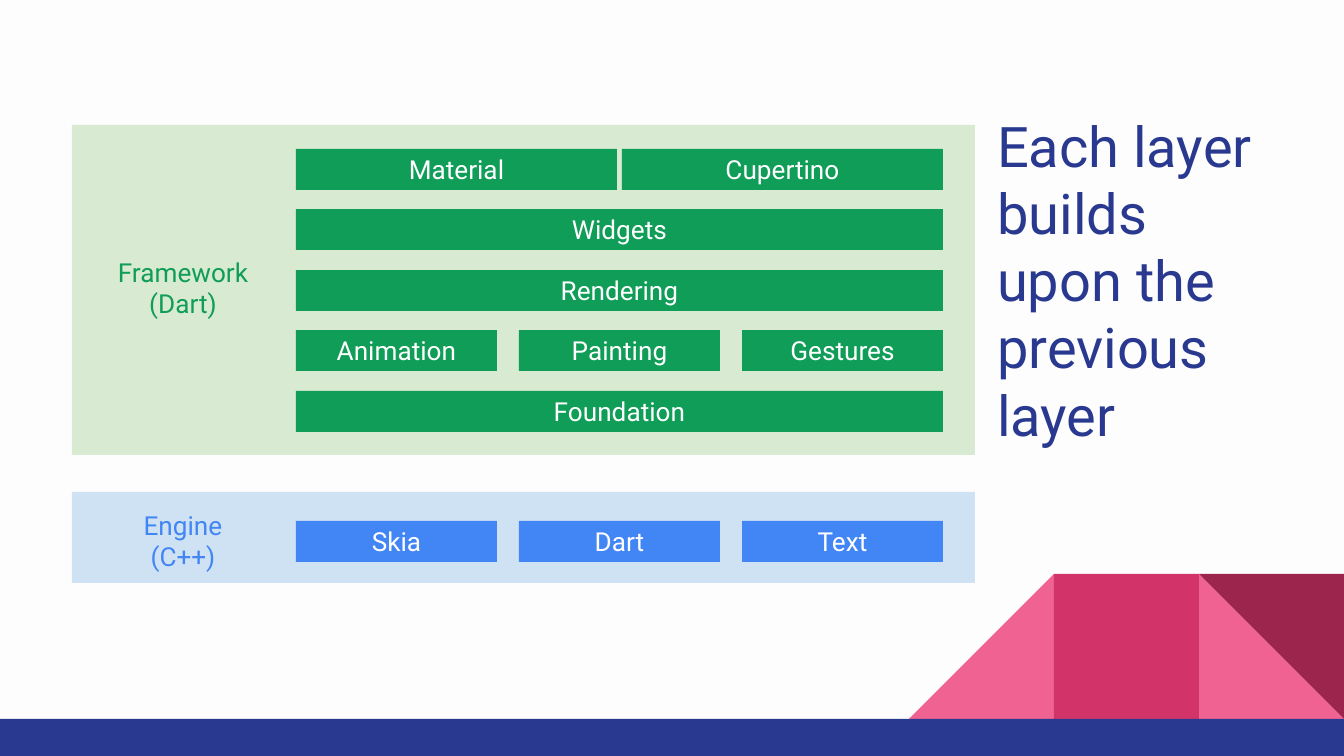
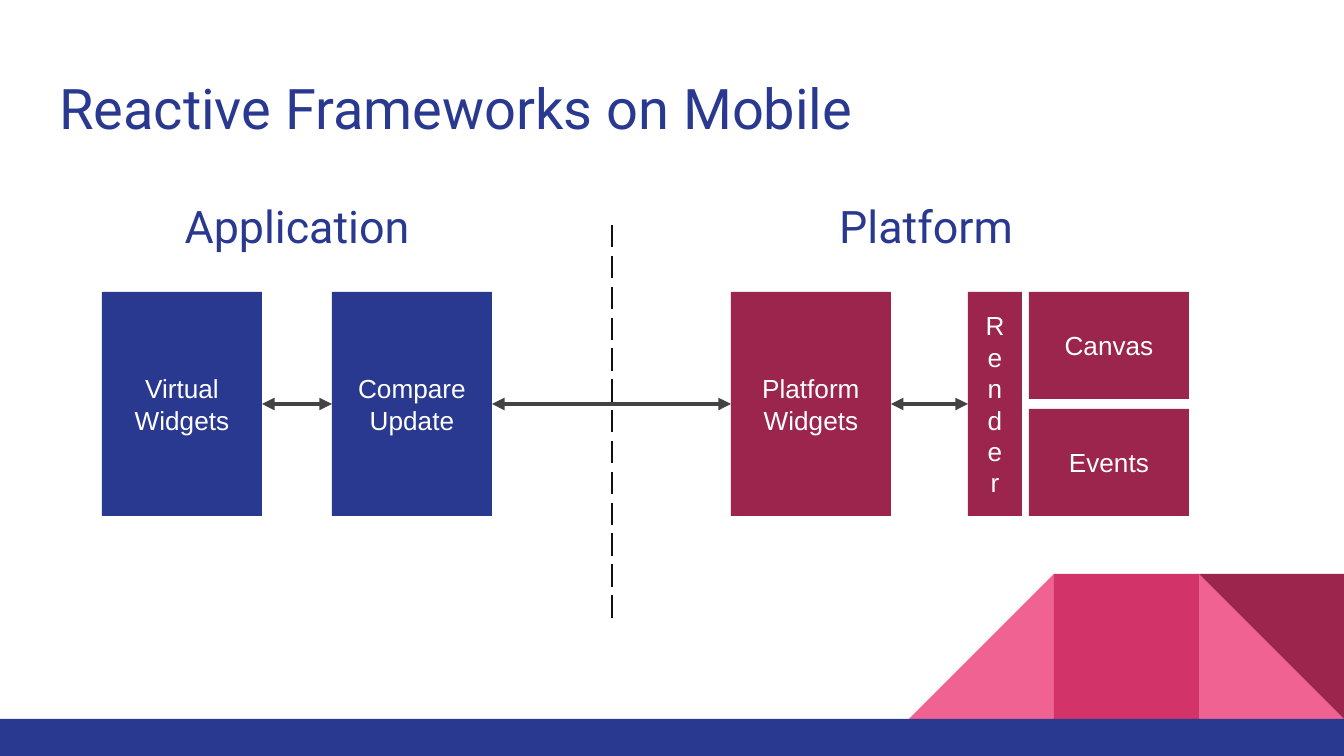
from dataclasses import dataclass

from lxml import etree
from pptx import Presentation
from pptx.dml.color import RGBColor
from pptx.enum.dml import MSO_LINE
from pptx.enum.shapes import MSO_CONNECTOR, MSO_SHAPE
from pptx.enum.text import MSO_ANCHOR, PP_ALIGN
from pptx.oxml.ns import qn
from pptx.util import Emu, Inches, Pt

RECTANGLE = MSO_SHAPE.RECTANGLE
RIGHT_TRIANGLE = MSO_SHAPE.RIGHT_TRIANGLE
STRAIGHT = MSO_CONNECTOR.STRAIGHT
LONG_DASH = MSO_LINE.LONG_DASH
LEFT, CENTER = PP_ALIGN.LEFT, PP_ALIGN.CENTER
TOP, MIDDLE = MSO_ANCHOR.TOP, MSO_ANCHOR.MIDDLE
LEFT_SITE, RIGHT_SITE = 1, 3

SLIDE_WIDTH, SLIDE_HEIGHT = 1344, 756
EMU_PER_PX = Inches(10) / SLIDE_WIDTH


@dataclass(frozen=True)
class Theme:
    heading_font: str = "Roboto"
    diagram_font: str = "Arial"
    title_size: int = 30
    heading_size: int = 24
    label_size: int = 14
    white: str = "FFFFFF"
    off_white: str = "FDFDFD"
    indigo: str = "2A3990"
    light_pink: str = "F06292"
    pink: str = "D23369"
    maroon: str = "9C254D"
    green: str = "0F9D58"
    pale_green: str = "D9EAD3"
    blue: str = "4285F4"
    pale_blue: str = "CFE2F3"
    divider: str = "111111"
    arrow: str = "434343"


THEME = Theme()


def px(length):
    return Emu(round(length * EMU_PER_PX))


def rgb(color):
    return RGBColor.from_string(color)


def write_text(shape, lines, size, color, font=THEME.heading_font,
               align=CENTER, anchor=MIDDLE):
    """Fill a shape with one paragraph per line."""
    frame = shape.text_frame
    frame.word_wrap = True
    frame.vertical_anchor = anchor
    frame.margin_left = frame.margin_right = Inches(0.1)
    frame.margin_top = frame.margin_bottom = Inches(0.1)
    for index, line in enumerate(lines):
        paragraph = frame.add_paragraph() if index else frame.paragraphs[0]
        paragraph.alignment = align
        run = paragraph.add_run()
        run.text = line
        run.font.name = font
        run.font.size = Pt(size)
        run.font.color.rgb = rgb(color)


def add_text(slide, box, lines, size, color, **style):
    text_box = slide.shapes.add_textbox(*map(px, box))
    write_text(text_box, lines, size, color, **style)


def add_block(slide, box, fill, lines=(), font=THEME.heading_font, kind=RECTANGLE):
    """Add a borderless filled shape, with a centred white label if lines are given."""
    shape = slide.shapes.add_shape(kind, *map(px, box))
    shape.shadow.inherit = False
    shape.fill.solid()
    shape.fill.fore_color.rgb = rgb(fill)
    shape.line.fill.background()
    if lines:
        write_text(shape, lines, THEME.label_size, THEME.white, font)
    return shape


def add_line(slide, start, end, color, width):
    line = slide.shapes.add_connector(STRAIGHT, *map(px, start + end))
    line.line.color.rgb = rgb(color)
    line.line.width = Pt(width)
    etree.SubElement(line._element.spPr, qn("a:effectLst"))
    return line


def add_double_arrow(slide, source, target):
    """Join the facing sides of two blocks, with a head at each end."""
    arrow = add_line(slide, (0, 0), (0, 0), THEME.arrow, 2.25)
    arrow.begin_connect(source, RIGHT_SITE)
    arrow.end_connect(target, LEFT_SITE)
    outline = arrow.line._get_or_add_ln()
    for end in ("a:headEnd", "a:tailEnd"):
        etree.SubElement(outline, qn(end), type="triangle")


def add_title(slide, box, title):
    add_text(slide, box, [title], THEME.title_size, THEME.indigo,
             align=LEFT, anchor=TOP)


def add_base_slide(presentation, background):
    """Add a blank slide with the folded-paper corner and the footer band."""
    slide = presentation.slides.add_slide(presentation.slide_layouts[6])
    slide.background.fill.solid()
    slide.background.fill.fore_color.rgb = rgb(background)

    side, footer_top = 145, 719
    left_fold, middle_fold, right_fold = (
        (SLIDE_WIDTH - side * count, footer_top - side, side, side)
        for count in (3, 2, 1))
    add_block(slide, right_fold, THEME.light_pink, kind=RIGHT_TRIANGLE)
    mirrored = add_block(slide, left_fold, THEME.light_pink, kind=RIGHT_TRIANGLE)
    mirrored._element.spPr.xfrm.set("flipH", "1")
    add_block(slide, middle_fold, THEME.pink)
    corner = add_block(slide, right_fold, THEME.maroon, kind=RIGHT_TRIANGLE)
    corner.rotation = 180
    add_block(slide, (0, footer_top, SLIDE_WIDTH, SLIDE_HEIGHT - footer_top),
              THEME.indigo)
    return slide


def add_layer_row(slide, top, names, gap, fill):
    """Split one row of the stack evenly between the names."""
    left, width, height = 296, 647, 41
    cell_width = (width - gap * (len(names) - 1)) // len(names)
    for column, name in enumerate(names):
        box = (left + column * (cell_width + gap), top, cell_width, height)
        add_block(slide, box, fill, [name])


def add_panel(slide, top, height, fill, label, label_top, label_color):
    add_block(slide, (72, top, 903, height), fill)
    add_text(slide, (99, label_top, 168, 91), label, THEME.label_size,
             label_color, anchor=TOP)


def build_layers_slide(presentation):
    slide = add_base_slide(presentation, THEME.off_white)
    add_title(slide, (984, 98, 314, 89), "Each layer builds upon the previous layer")

    add_panel(slide, 492, 91, THEME.pale_blue, ["Engine", "(C++)"], 496, THEME.blue)
    add_layer_row(slide, 521, ["Skia", "Dart", "Text"], 22, THEME.blue)

    add_panel(slide, 125, 330, THEME.pale_green, ["Framework", "(Dart)"], 243,
              THEME.green)
    framework_rows = [
        (["Material", "Cupertino"], 5),
        (["Widgets"], 0),
        (["Rendering"], 0),
        (["Animation", "Painting", "Gestures"], 22),
        (["Foundation"], 0),
    ]
    for row, (names, gap) in enumerate(framework_rows):
        add_layer_row(slide, 149 + row * 121 // 2, names, gap, THEME.green)


def build_reactive_slide(presentation):
    slide = add_base_slide(presentation, THEME.white)
    add_title(slide, (46, 60, 1252, 89), "Reactive Frameworks on Mobile")
    for left, heading in ((102, "Application"), (731, "Platform")):
        add_text(slide, (left, 179, 390, 94), [heading], THEME.heading_size,
                 THEME.indigo)
    add_line(slide, (612, 225), (612, 624), THEME.divider, 1.5).line.dash_style = LONG_DASH

    top, height, width = 292, 224, 160
    stages = [
        (102, width, THEME.indigo, ["Virtual", "Widgets"]),
        (332, width, THEME.indigo, ["Compare", "Update"]),
        (731, width, THEME.maroon, ["Platform", "Widgets"]),
        (968, 54, THEME.maroon, ["Rende", "r"]),
    ]
    blocks = [add_block(slide, (left, top, stage_width, height), fill, lines,
                        THEME.diagram_font)
              for left, stage_width, fill, lines in stages]

    service_height = 107
    for service_top, name in ((top, "Canvas"),
                              (top + height - service_height, "Events")):
        add_block(slide, (1029, service_top, width, service_height), THEME.maroon,
                  [name], THEME.diagram_font)

    for source, target in zip(blocks, blocks[1:]):
        add_double_arrow(slide, source, target)


def main():
    presentation = Presentation()
    presentation.slide_width = px(SLIDE_WIDTH)
    presentation.slide_height = px(SLIDE_HEIGHT)
    build_layers_slide(presentation)
    build_reactive_slide(presentation)
    presentation.save("out.pptx")


if __name__ == "__main__":
    main()
